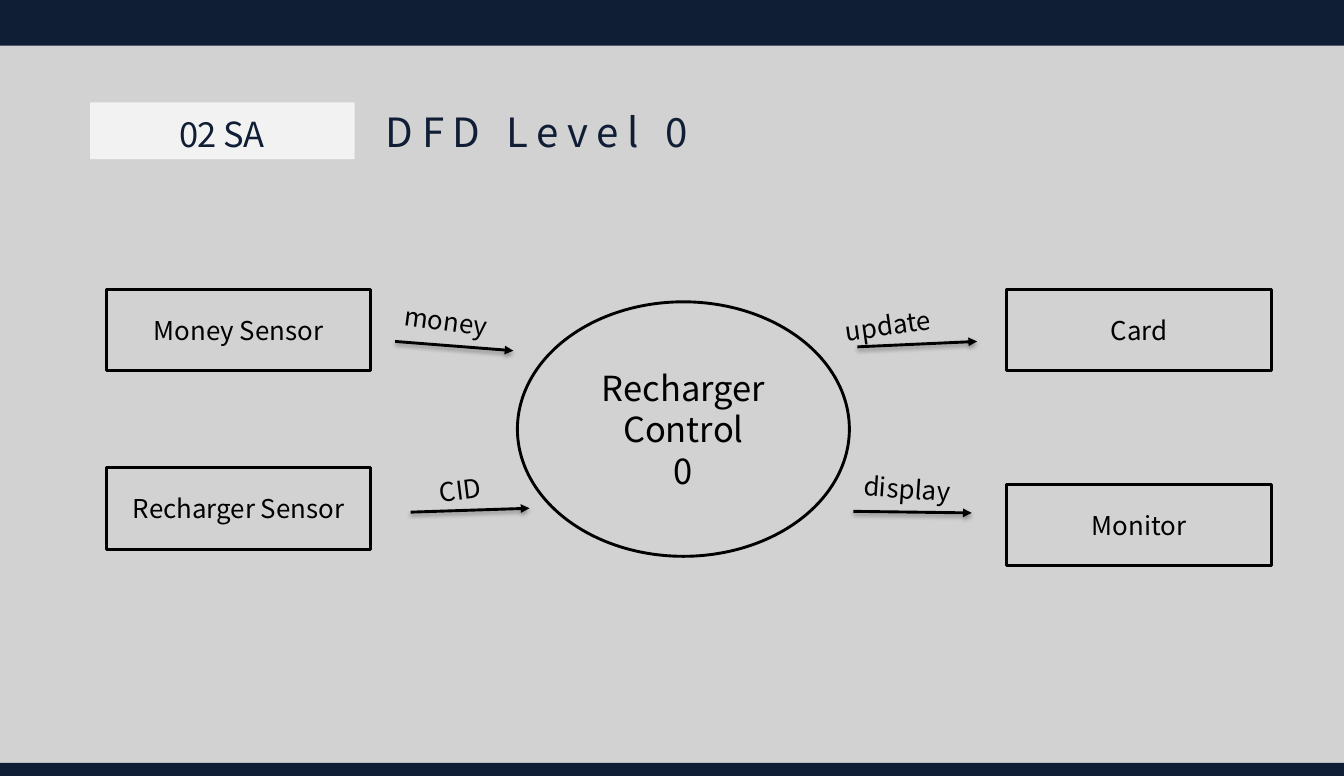
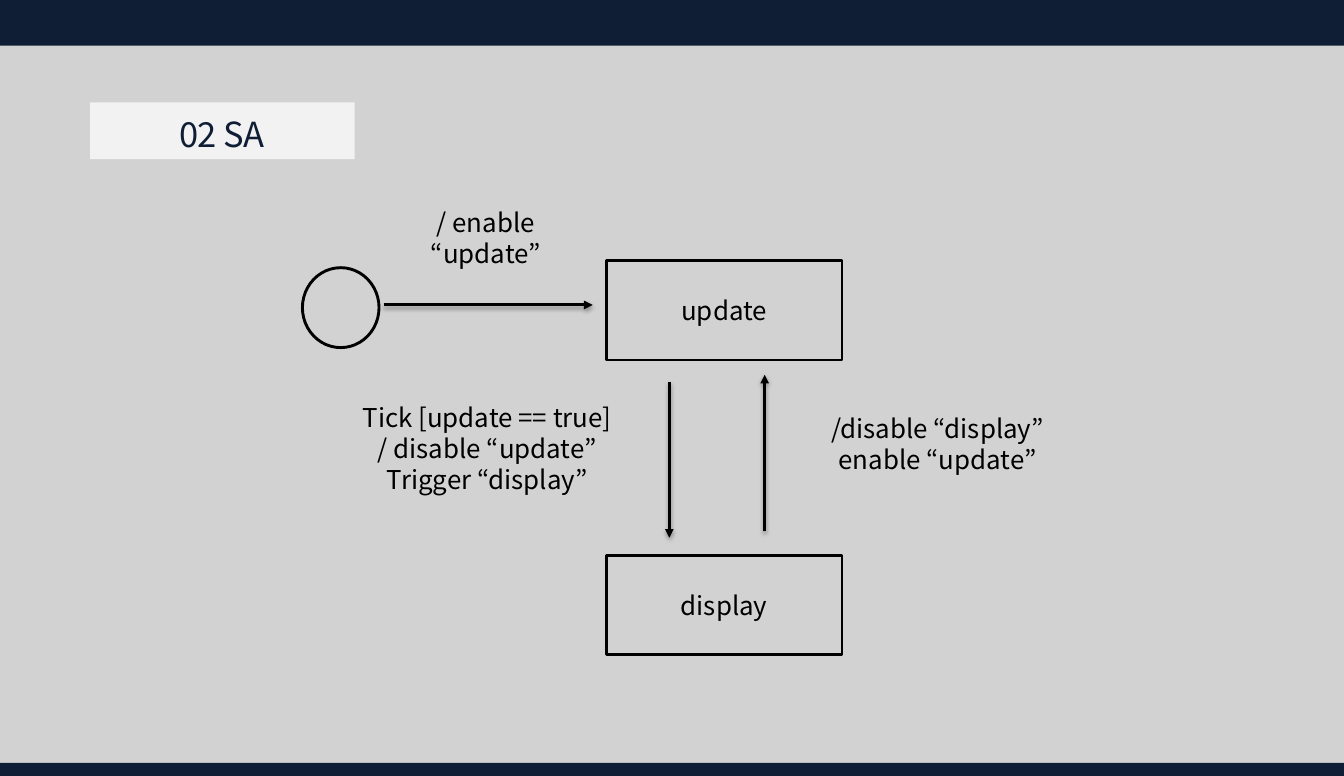
from typing import NamedTuple

from lxml.etree import SubElement
from pptx import Presentation
from pptx.dml.color import RGBColor
from pptx.enum.shapes import MSO_CONNECTOR as Link, MSO_SHAPE as Kind
from pptx.enum.text import MSO_ANCHOR as Anchor, PP_ALIGN as Align
from pptx.oxml.ns import qn
from pptx.util import Inches, Pt

WIDE, HIGH = Inches(12.99), Inches(7.5)
FONT = "Noto Sans CJK KR"
NAVY = RGBColor(0x0F, 0x1E, 0x35)
GREY = RGBColor(0xD2, 0xD2, 0xD2)
PALE = RGBColor(0xF2, 0xF2, 0xF2)
BLACK = RGBColor(0, 0, 0)


class Area(NamedTuple):
    """Left, top, width and height in percent of the slide."""
    x: float
    y: float
    w: float
    h: float


class Node(NamedTuple):
    area: Area
    text: str = ""
    kind: Kind = Kind.RECTANGLE
    size: int = 18


class Flow(NamedTuple):
    """Start and end of an arrow in percent of the slide."""
    x1: float
    y1: float
    x2: float
    y2: float


class Label(NamedTuple):
    area: Area
    text: str
    turn: float = 0
    align: Align = Align.CENTER


TAG = Area(6.7, 13.2, 19.7, 7.3)
TAG_TEXT = Area(8.2, 13.9, 16.6, 6.7)
TITLE = Area(27.95, 13.2, 65.8, 7.6)
BANDS = Area(0, 0, 100, 5.9), Area(0, 98.3, 100, 1.7)

BOX = 19.7, 10.5
STATE = 17.55, 12.8
NOTE = 10.7, 5.3
LONG = 11.4, 5.3

LEVEL_NODES = [
    Node(Area(7.9, 37.3, *BOX), "Money Sensor"),
    Node(Area(7.9, 60.3, *BOX), "Recharger Sensor"),
    Node(Area(74.9, 37.3, *BOX), "Card"),
    Node(Area(74.9, 62.4, *BOX), "Monitor"),
    Node(Area(38.5, 38.9, 24.7, 32.8), "Recharger\nControl\n0", Kind.OVAL, 24),
]
LEVEL_FLOWS = [
    Flow(63.8, 44.7, 72.7, 44),
    Flow(63.5, 65.9, 72.3, 66.1),
    Flow(30.55, 66, 39.4, 65.5),
    Flow(29.4, 44, 38.2, 45.2),
]
LEVEL_LABELS = [
    Label(Area(62.1, 38.9, *NOTE), "update", -7.9, Align.LEFT),
    Label(Area(63.5, 60.5, *LONG), "display", 4, Align.LEFT),
    Label(Area(28.9, 60.4, *NOTE), "CID", -7.2),
    Label(Area(29.3, 39.1, *LONG), "money", 7.8, Align.LEFT),
]

STATE_NODES = [
    Node(Area(45.1, 33.6, *STATE), "update"),
    Node(Area(45.1, 71.6, *STATE), "display"),
    Node(Area(22.5, 34.5, 5.7, 10.3), kind=Kind.OVAL),
]
STATE_FLOWS = [
    Flow(28.55, 39.3, 44.1, 39.3),
    Flow(49.8, 49.2, 49.8, 69.3),
    Flow(56.9, 68.4, 56.9, 48.3),
]
STATE_LABELS = [
    Label(Area(27.1, 26, 18.1, 11.5), "/ enable\n“update”"),
    Label(Area(58.8, 52.5, 21.9, 11.5), "/disable “display”\nenable “update”"),
    Label(Area(21.2, 51.1, 30.1, 16.4),
          "Tick [update == true]\n/ disable “update”\nTrigger “display”"),
]


def across(share: float) -> int:
    return round(WIDE * share / 100)


def down(share: float) -> int:
    return round(HIGH * share / 100)


def place(area: Area) -> tuple:
    return across(area.x), down(area.y), across(area.w), down(area.h)


def write(shape, text: str, *, size: int = 18, color: RGBColor = BLACK,
          align: Align = Align.CENTER, anchor: Anchor = Anchor.TOP,
          track: float = 0) -> None:
    """Fill a shape with one paragraph per line; track is in points."""
    frame = shape.text_frame
    frame.word_wrap = True
    frame.vertical_anchor = anchor
    frame.text = text
    for para in frame.paragraphs:
        para.alignment = align
        para.line_spacing = Pt(1.2 * size)
        for run in para.runs:
            run.font.name = FONT
            run.font.size = Pt(size)
            run.font.color.rgb = color
            if track:
                run.font._element.set("spc", str(round(track * 100)))


def add_text(slide, area: Area, text: str, turn: float = 0, **style) -> None:
    box = slide.shapes.add_textbox(*place(area))
    box.rotation = turn
    write(box, text, **style)


def add_block(slide, area: Area, color: RGBColor) -> None:
    block = slide.shapes.add_shape(Kind.RECTANGLE, *place(area))
    block.shadow.inherit = False
    block.fill.solid()
    block.fill.fore_color.rgb = color
    block.line.fill.background()


def add_node(slide, node: Node) -> None:
    shape = slide.shapes.add_shape(node.kind, *place(node.area))
    shape.shadow.inherit = False
    shape.fill.background()
    shape.line.color.rgb = BLACK
    shape.line.width = Pt(2)
    if node.text:
        write(shape, node.text, size=node.size, anchor=Anchor.MIDDLE)


def add_flow(slide, flow: Flow) -> None:
    """Draw an arrow with a soft shadow below it."""
    line = slide.shapes.add_connector(
        Link.STRAIGHT, across(flow.x1), down(flow.y1),
        across(flow.x2), down(flow.y2))
    line.line.color.rgb = BLACK
    line.line.width = Pt(2)
    SubElement(line.line._get_or_add_ln(), qn("a:tailEnd"), type="triangle")
    effects = SubElement(line._element.spPr, qn("a:effectLst"))
    shade = SubElement(effects, qn("a:outerShdw"), blurRad=str(Pt(3.1)),
                       dist=str(Pt(1.8)), dir="5400000", rotWithShape="0")
    tint = SubElement(shade, qn("a:srgbClr"), val=str(BLACK))
    SubElement(tint, qn("a:alpha"), val="35000")


def add_slide(deck, nodes: list[Node], flows: list[Flow],
              labels: list[Label], title: str = "") -> None:
    slide = deck.slides.add_slide(deck.slide_layouts[6])
    slide.background.fill.solid()
    slide.background.fill.fore_color.rgb = GREY
    add_block(slide, TAG, PALE)
    add_text(slide, TAG_TEXT, "02 SA", size=24, color=NAVY, track=-0.5)
    for band in BANDS:
        add_block(slide, band, NAVY)
    if title:
        add_text(slide, TITLE, title, size=28, color=NAVY,
                 align=Align.LEFT, track=6)
    for node in nodes:
        add_node(slide, node)
    for flow in flows:
        add_flow(slide, flow)
    for label in labels:
        add_text(slide, label.area, label.text, label.turn, align=label.align)


def main() -> None:
    deck = Presentation()
    deck.slide_width, deck.slide_height = WIDE, HIGH
    add_slide(deck, LEVEL_NODES, LEVEL_FLOWS, LEVEL_LABELS, "DFD Level 0")
    add_slide(deck, STATE_NODES, STATE_FLOWS, STATE_LABELS)
    deck.save("out.pptx")


if __name__ == "__main__":
    main()
